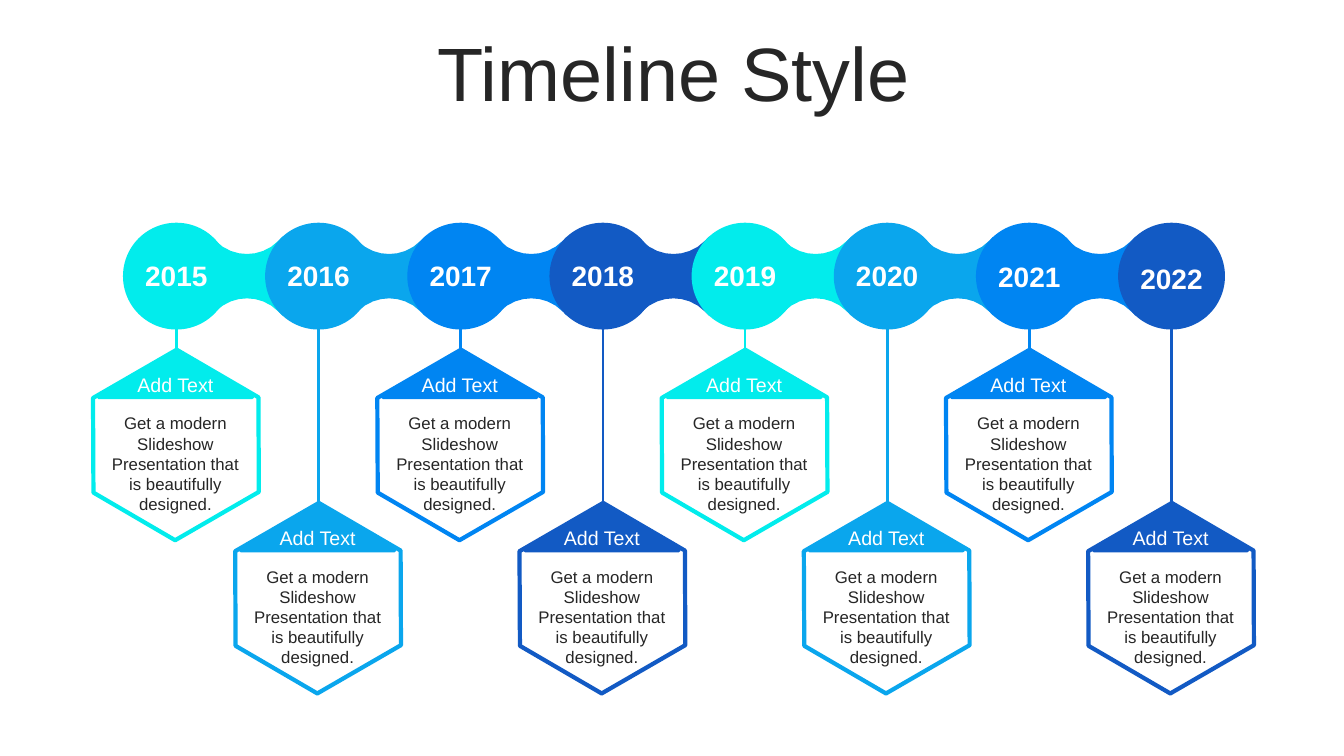
import math
from dataclasses import dataclass

import pptx
import pptx.dml.color
import pptx.enum.shapes
import pptx.enum.text
import pptx.oxml
import pptx.oxml.ns
import pptx.util
from pptx.enum.shapes import MSO_SHAPE
from pptx.shapes.autoshape import Shape
from pptx.shapes.shapetree import SlideShapes

EMU_PER_PX = 9144
FONT = "Arial"
COLORS = {
    "cyan": "02ECEC",
    "sky": "0AA6ED",
    "azure": "0085F2",
    "navy": "125AC4",
    "white": "FFFFFF",
    "ink": "262626",
}
FIRST_CENTER, PITCH = 175, 141
CIRCLE_TOP, CIRCLE_SIZE = 221, 106
UPPER_CARD, LOWER_CARD = 350, 502
CARD_TITLE = "Add Text"
CARD_BODY = "Get a modern Slideshow Presentation that is beautifully designed."


@dataclass(frozen=True)
class Milestone:
    year: str
    color: str
    card_top: int
    year_drop: int = 0


MILESTONES = [
    Milestone("2015", "cyan", UPPER_CARD),
    Milestone("2016", "sky", LOWER_CARD),
    Milestone("2017", "azure", UPPER_CARD),
    Milestone("2018", "navy", LOWER_CARD),
    Milestone("2019", "cyan", UPPER_CARD),
    Milestone("2020", "sky", LOWER_CARD),
    Milestone("2021", "azure", UPPER_CARD, 1),
    Milestone("2022", "navy", LOWER_CARD, 3),
]


def px(length: float) -> pptx.util.Emu:
    return pptx.util.Emu(round(length * EMU_PER_PX))


def rgb(name: str) -> pptx.dml.color.RGBColor:
    return pptx.dml.color.RGBColor.from_string(COLORS[name])


def paint(shape: Shape, fill: str, outline: str | None = None) -> None:
    shape.shadow.inherit = False
    shape.fill.solid()
    shape.fill.fore_color.rgb = rgb(fill)
    if outline is None:
        shape.line.fill.background()
    else:
        shape.line.color.rgb = rgb(outline)
        shape.line.width = pptx.util.Pt(3)


def write(shape: Shape, text: str, size: int, color: str, bold: bool = False) -> None:
    """Put one centred paragraph into the shape."""
    shape.text_frame.word_wrap = True
    paragraph = shape.text_frame.paragraphs[0]
    paragraph.text = text
    paragraph.alignment = pptx.enum.text.PP_ALIGN.CENTER
    paragraph.font.name = FONT
    paragraph.font.size = pptx.util.Pt(size)
    paragraph.font.bold = bold
    paragraph.font.color.rgb = rgb(color)


def add_label(shapes: SlideShapes, left: int, top: int, width: int, height: int,
              text: str, size: int, color: str) -> None:
    label = shapes.add_textbox(px(left), px(top), px(width), px(height))
    write(label, text, size, color)
    label.text_frame.auto_size = pptx.enum.text.MSO_AUTO_SIZE.SHAPE_TO_FIT_TEXT


def add_title(shapes: SlideShapes) -> None:
    title = shapes.title
    title.left, title.top, title.width, title.height = px(35), px(37), px(1266), px(79)
    write(title, "Timeline Style", 54, "ink")
    title.text_frame.vertical_anchor = pptx.enum.text.MSO_ANCHOR.MIDDLE
    title.text_frame.auto_size = pptx.enum.text.MSO_AUTO_SIZE.NONE
    paragraph = title.text_frame.paragraphs[0]
    paragraph.line_spacing = 0.9
    paragraph.space_before = pptx.util.Pt(10)


def add_stem(shapes: SlideShapes, center: int, milestone: Milestone) -> None:
    """Draw the line from a year down to its card, ending in a dot."""
    stem = shapes.add_connector(
        pptx.enum.shapes.MSO_CONNECTOR.STRAIGHT,
        px(center), px(324), px(center), px(milestone.card_top + 10))
    stem.line.color.rgb = rgb(milestone.color)
    stem.line.width = pptx.util.Pt(2)
    tail = pptx.oxml.parse_xml(f'<a:tailEnd {pptx.oxml.ns.nsdecls("a")} type="oval"/>')
    stem.line._get_or_add_ln().append(tail)
    effects = pptx.oxml.parse_xml(f'<a:effectLst {pptx.oxml.ns.nsdecls("a")}/>')
    stem._element.spPr.append(effects)


def add_bridge(shapes: SlideShapes, center: int, color: str) -> None:
    """Draw the waisted link between two circles."""
    middle, half_width, half_height = 274, 43, 39
    arc_radius, arc_distance, arc_reach, arc_step = 44, 66, 32, 8
    upper = [(-half_width, -half_height), (-35, -half_height)]
    for offset in range(-arc_reach, arc_reach + 1, arc_step):
        upper.append((offset, math.sqrt(arc_radius**2 - offset**2) - arc_distance))
    upper += [(35, -half_height), (half_width, -half_height)]
    outline = upper + [(x, -y) for x, y in reversed(upper)]
    points = [(px(center + x), px(middle + y)) for x, y in outline]
    builder = shapes.build_freeform(*points[0])
    builder.add_line_segments(points[1:], close=True)
    paint(builder.convert_to_shape(), color)


def add_year(shapes: SlideShapes, center: int, milestone: Milestone) -> None:
    circle = shapes.add_shape(
        MSO_SHAPE.OVAL, px(center - CIRCLE_SIZE // 2), px(CIRCLE_TOP),
        px(CIRCLE_SIZE), px(CIRCLE_SIZE))
    paint(circle, milestone.color)
    write(circle, milestone.year, 20, "white", bold=True)
    frame = circle.text_frame
    frame.vertical_anchor = pptx.enum.text.MSO_ANCHOR.MIDDLE
    frame.margin_left = frame.margin_right = 0
    frame.margin_top, frame.margin_bottom = px(2 * milestone.year_drop), px(2)


def add_card(shapes: SlideShapes, center: int, milestone: Milestone) -> None:
    top = milestone.card_top
    hexagon = shapes.add_shape(MSO_SHAPE.HEXAGON, px(center - 95), px(top + 10), px(189), px(163))
    hexagon.adjustments[0] = 0.286
    hexagon.rotation = 330
    paint(hexagon, "white", milestone.color)
    roof = shapes.add_shape(
        MSO_SHAPE.ISOSCELES_TRIANGLE, px(center - 77), px(top), px(152), px(44))
    paint(roof, milestone.color, milestone.color)
    add_label(shapes, center - 82, top + 15, 162, 34, CARD_TITLE, 14, "white")
    add_label(shapes, center - 82, top + 55, 162, 111, CARD_BODY, 12, "ink")


def main() -> None:
    presentation = pptx.Presentation()
    presentation.slide_width, presentation.slide_height = px(1333), px(750)
    slide = presentation.slides.add_slide(presentation.slide_layouts.get_by_name("Title Only"))
    shapes = slide.shapes
    add_title(shapes)

    placed = [(FIRST_CENTER + index * PITCH, milestone)
              for index, milestone in enumerate(MILESTONES)]
    for center, milestone in placed:
        add_stem(shapes, center, milestone)
    for center, milestone in placed[:-1]:
        add_bridge(shapes, center + PITCH // 2, milestone.color)
    for center, milestone in placed:
        add_year(shapes, center, milestone)
        add_card(shapes, center, milestone)

    presentation.save("out.pptx")


if __name__ == "__main__":
    main()
